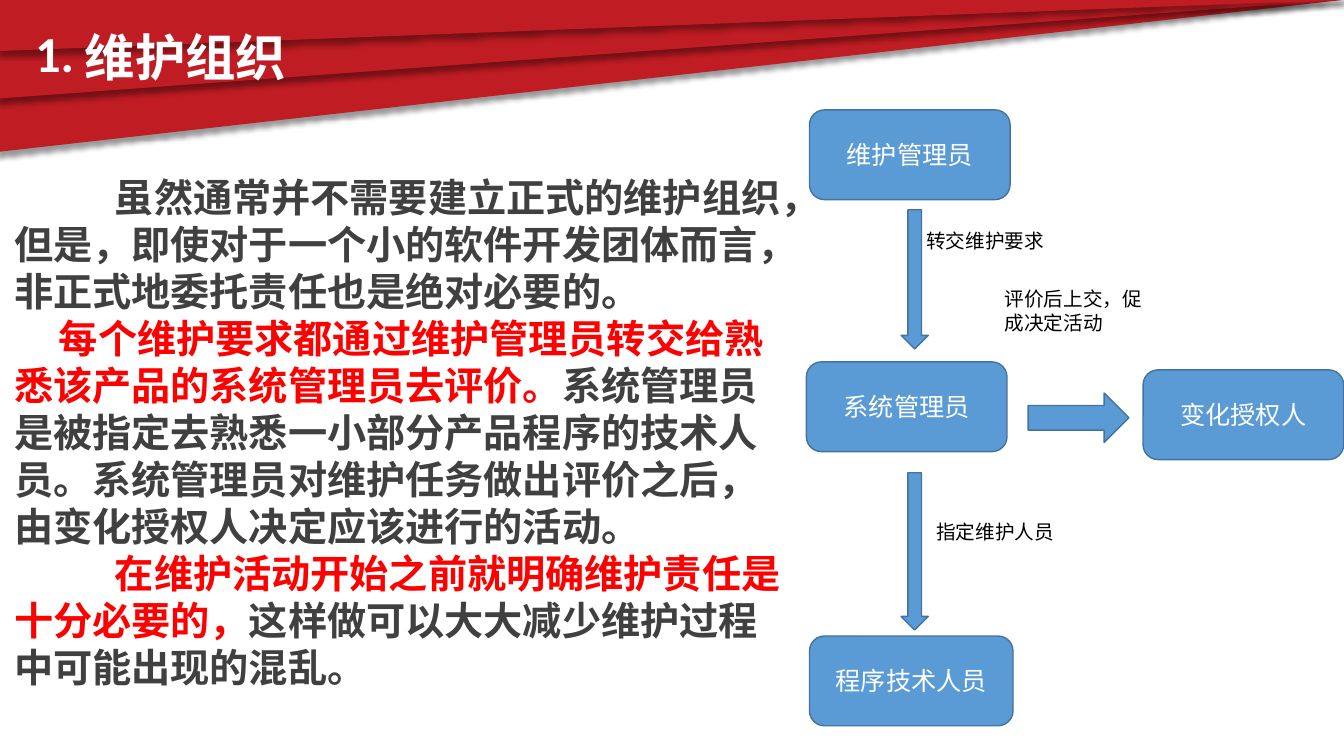
from dataclasses import dataclass

from lxml.etree import fromstring
from pptx import Presentation
from pptx.dml.color import RGBColor
from pptx.enum.shapes import MSO_SHAPE
from pptx.enum.text import MSO_ANCHOR, MSO_AUTO_SIZE, PP_ALIGN
from pptx.oxml.ns import nsdecls, qn
from pptx.util import Pt


@dataclass(frozen=True)
class Theme:
    """Colours, fonts and type sizes of the slide."""
    banner: RGBColor = RGBColor(0xC0, 0x1C, 0x23)
    box: RGBColor = RGBColor(0x5B, 0x9B, 0xD5)
    outline: RGBColor = RGBColor(0x43, 0x73, 0x9E)
    light: RGBColor = RGBColor(0xFF, 0xFF, 0xFF)
    ink: RGBColor = RGBColor(0x40, 0x40, 0x40)
    accent: RGBColor = RGBColor(0xFF, 0x00, 0x00)
    black: RGBColor = RGBColor(0, 0, 0)
    heading_font: str = "Calibri"
    body_font: str = "Noto Sans CJK SC"
    label_font: str = "Arial"
    heading_size: float = 36
    body_size: float = 28
    box_size: float = 18
    label_size: float = 14


THEME = Theme()
NUMBER, HEADING = "1.", "维护组织"
PARAGRAPHS = [
    (72, [("虽然通常并不需要建立正式的维护组织，但是，即使对于一个小的软件开发团体而言，"
           "非正式地委托责任也是绝对必要的。", THEME.ink)]),
    (32, [("每个维护要求都通过维护管理员转交给熟悉该产品的系统管理员去评价。", THEME.accent),
          ("系统管理员是被指定去熟悉一小部分产品程序的技术人员。系统管理员对维护任务做出评价之后，"
           "由变化授权人决定应该进行的活动。", THEME.ink)]),
    (72, [("在维护活动开始之前就明确维护责任是十分必要的，", THEME.accent),
          ("这样做可以大大减少维护过程中可能出现的混乱。", THEME.ink)]),
]
ROLES = [
    ("维护管理员", 578.2, 78.5, 143.3),
    ("系统管理员", 576, 258.5, 143.3),
    ("程序技术人员", 578.2, 454.3, 145.4),
    ("变化授权人", 816.5, 264.2, 143.3),
]
ARROWS = [
    (MSO_SHAPE.DOWN_ARROW, 643.7, 149.8, 19.4, 99.4),
    (MSO_SHAPE.DOWN_ARROW, 643.7, 337.7, 19.4, 112.3),
    (MSO_SHAPE.RIGHT_ARROW, 734.4, 280.8, 72, 35.3),
]
LABELS = [
    ("转交维护要求", 654.5, 159.8, 48.2),
    ("指定维护人员", 661.7, 367.9, 48.2),
    ("评价后上交，促成决定活动", 710.6, 201.6, 82.1),
]
BANNER_HEIGHTS = [108.7, 70.6, 36.7]
ROLE_HEIGHT, LABEL_WIDTH = 64.1, 119.5
SHADOW = (f'<a:effectLst {nsdecls("a")}><a:outerShdw blurRad="50800" dist="38100" dir="5400000" '
          'algn="t" rotWithShape="0"><a:srgbClr val="000000"><a:alpha val="40000"/>'
          '</a:srgbClr></a:outerShdw></a:effectLst>')


def style(paragraph, font_name, size, color, bold=False):
    """Set the type of a whole paragraph."""
    font = paragraph.font
    font.name, font.size, font.bold = font_name, Pt(size), bold
    font.color.rgb = color


def place(holder, left, top, width, height):
    """Move a placeholder and return its text frame."""
    holder.left, holder.top = Pt(left), Pt(top)
    holder.width, holder.height = Pt(width), Pt(height)
    frame = holder.text_frame
    frame.word_wrap, frame.auto_size = True, MSO_AUTO_SIZE.NONE
    frame.vertical_anchor = MSO_ANCHOR.TOP
    return frame


def add_block(slide, preset, bounds, fill, outline):
    """Add a flat filled preset shape."""
    block = slide.shapes.add_shape(preset, *map(Pt, bounds))
    block.shadow.inherit = False
    block.fill.solid()
    block.fill.fore_color.rgb = fill
    block.line.color.rgb = outline
    block.line.width = Pt(1)
    return block


def add_banner(slide):
    """Stack the red wedges behind the heading."""
    for depth, height in enumerate(BANNER_HEIGHTS):
        wedge = add_block(slide, MSO_SHAPE.RIGHT_TRIANGLE, (-1.2, -0.7, 962, height),
                          THEME.banner, THEME.banner)
        properties = wedge._element.spPr
        properties.xfrm.set("flipV", "1")
        properties.replace(properties.find(qn("a:effectLst")), fromstring(SHADOW))
        slide.shapes._spTree.insert(2 + depth, wedge._element)


def add_text(slide, text, bounds):
    """Add a wrapping text box and return its frame."""
    frame = slide.shapes.add_textbox(*map(Pt, bounds)).text_frame
    frame.word_wrap = True
    frame.text = text
    return frame


def add_heading(slide):
    """Write the section number and the title."""
    title = place(slide.shapes.title, 53.3, 20.2, 319.7, 28.8)
    title.text = HEADING
    number = add_text(slide, NUMBER, (18, 21.6, 57, 37.4))
    number.vertical_anchor = MSO_ANCHOR.MIDDLE
    for frame in (title, number):
        paragraph = frame.paragraphs[0]
        paragraph.alignment = PP_ALIGN.LEFT
        paragraph.line_spacing, paragraph.space_before = 0.9, Pt(10)
        style(paragraph, THEME.heading_font, THEME.heading_size, THEME.light, True)


def add_body(slide):
    """Write the explanation with first-line indents."""
    frame = place(slide.placeholders[1], 2.9, 120.2, 563, 380.2)
    for position, (indent, passages) in enumerate(PARAGRAPHS):
        paragraph = frame.add_paragraph() if position else frame.paragraphs[0]
        paragraph.line_spacing, paragraph.space_before = Pt(33.6), Pt(0)
        style(paragraph, THEME.body_font, THEME.body_size, THEME.ink, True)
        properties = paragraph._p.get_or_add_pPr()
        properties.set("marL", "0")
        properties.set("indent", str(Pt(indent)))
        properties.find(qn("a:defRPr")).addprevious(fromstring(f'<a:buNone {nsdecls("a")}/>'))
        for text, color in passages:
            passage = paragraph.add_run()
            passage.text = text
            if color != THEME.ink:
                passage.font.color.rgb = color


def add_flow(slide):
    """Draw the roles, the arrows and their labels."""
    for role, left, top, width in ROLES:
        box = add_block(slide, MSO_SHAPE.ROUNDED_RECTANGLE, (left, top, width, ROLE_HEIGHT),
                        THEME.box, THEME.outline)
        frame = box.text_frame
        frame.text, frame.vertical_anchor = role, MSO_ANCHOR.MIDDLE
        frame.paragraphs[0].alignment = PP_ALIGN.CENTER
        style(frame.paragraphs[0], THEME.heading_font, THEME.box_size, THEME.light)
    for preset, *bounds in ARROWS:
        add_block(slide, preset, bounds, THEME.box, THEME.outline)
    for label, left, top, height in LABELS:
        frame = add_text(slide, label, (left, top, LABEL_WIDTH, height))
        style(frame.paragraphs[0], THEME.label_font, THEME.label_size, THEME.black)


def main():
    """Build and save the slide."""
    deck = Presentation()
    deck.slide_width, deck.slide_height = Pt(960), Pt(540)
    slide = deck.slides.add_slide(deck.slide_layouts[1])
    add_banner(slide)
    add_heading(slide)
    add_body(slide)
    add_flow(slide)
    deck.save("out.pptx")


if __name__ == "__main__":
    main()
